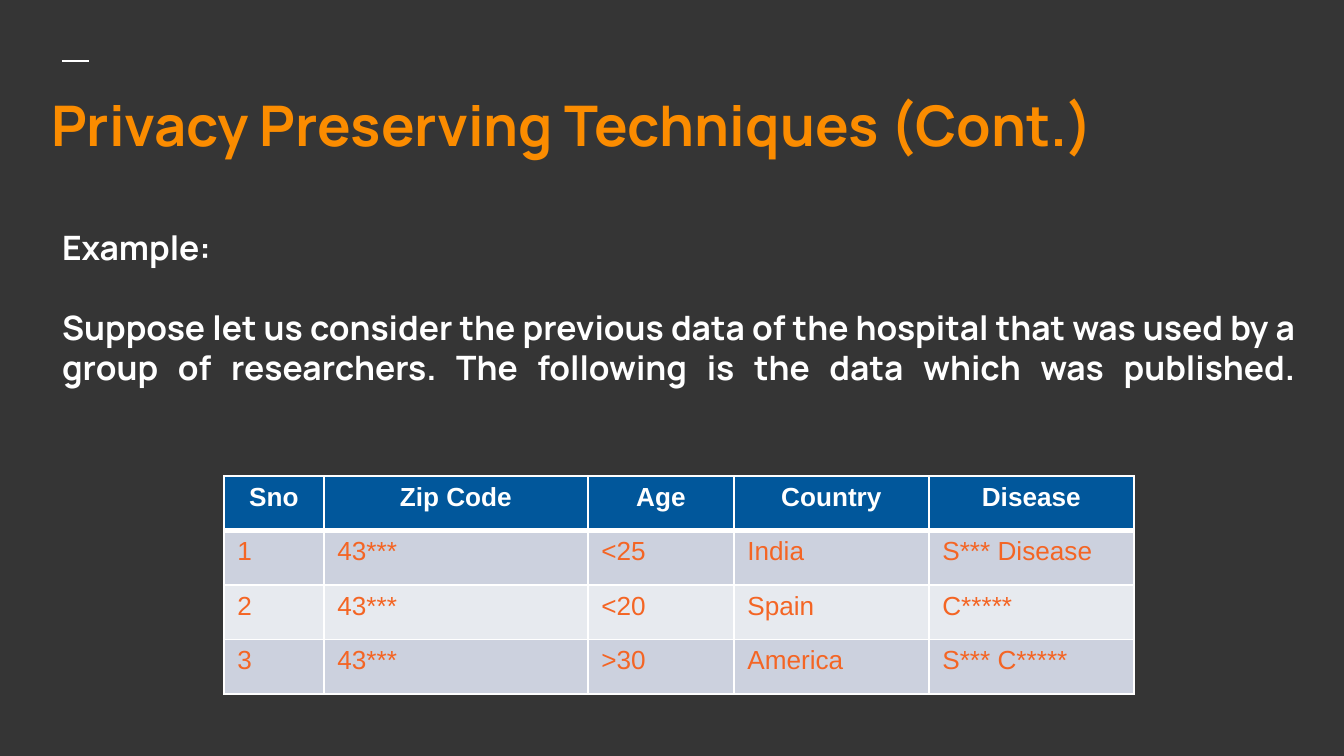
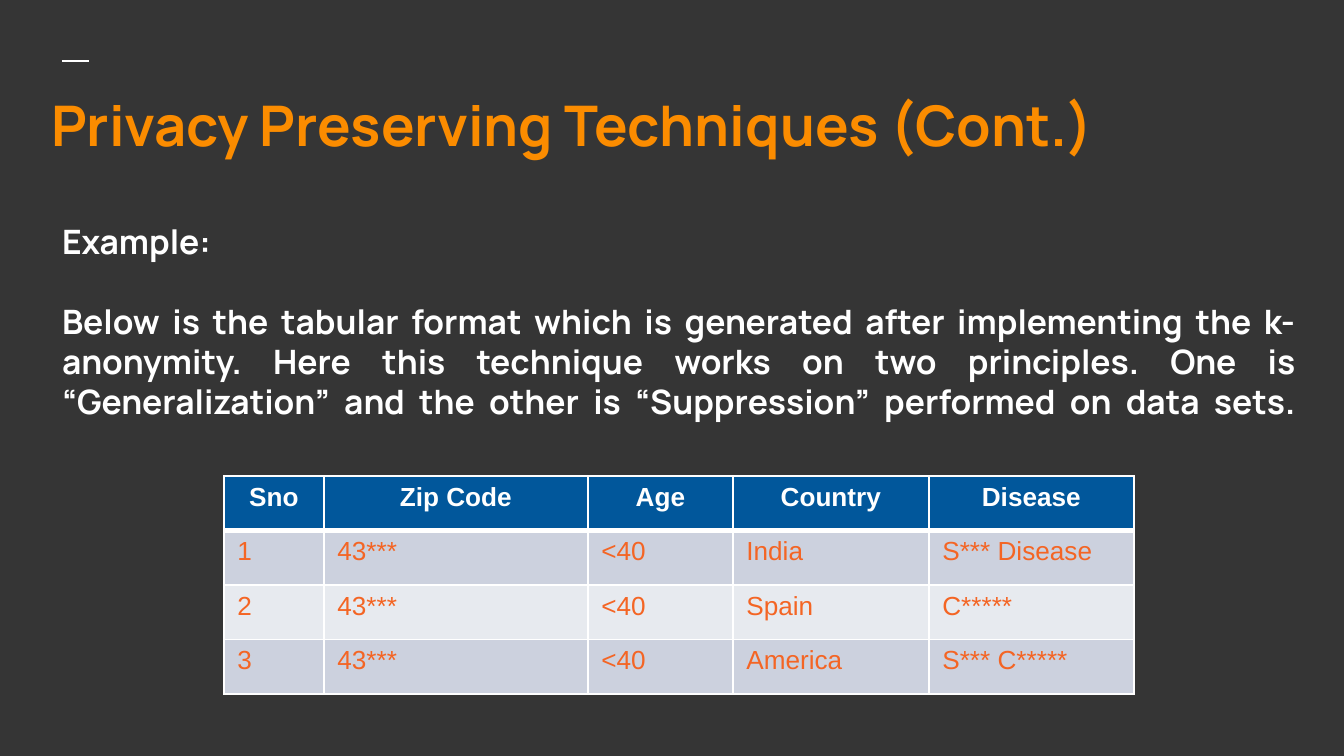
from lxml import etree
from pptx import Presentation
from pptx import util as u
from pptx.dml.color import RGBColor
from pptx.enum import shapes, text
from pptx.oxml.ns import qn

PX = 914400 / 134.4
WHITE, DARK, ORANGE = "FFFFFF", "353535", "FB8C00"
BLUE, RUST, BANDS = "01579B", "F46524", ("CCD1DE", "E7EAEF")
HEAD = ["Sno", "Zip Code", "Age", "Country", "Disease"]
TITLE = "Privacy Preserving Techniques (Cont.)"
LINE = u.Pt(21.5)

SLIDES = [
    {"lead": "Suppose let us consider the previous data of the hospital that was "
             "used by a group of researchers. The following is the data which was "
             "published.",
     "inset": 12, "ages": ["<25", "<20", ">30"],
     "cols": [100, 264, 146, 195, 205]},
    {"lead": "Below is the tabular format which is generated after implementing the "
             "k-anonymity. Here this technique works on two principles. One is "
             "“Generalization” and the other is “Suppression” performed on data sets.",
     "inset": 6, "ages": ["<40"] * 3,
     "cols": [100, 264, 145, 196, 205]},
]


def px(n):
    return u.Emu(round(n * PX))


def color(code):
    return RGBColor.from_string(code)


def put(obj, values):
    for name, value in values.items():
        setattr(obj, name, value)


def place(shape, box):
    put(shape, dict(zip(("left", "top", "width", "height"), map(px, box))))


def style(par, face, size, code, bold=True, **form):
    put(par, form)
    for run in par.runs:
        put(run.font, {"name": face, "size": u.Pt(size), "bold": bold})
        run.font.color.rgb = color(code)


def frame(shape, box, anchor, inset=13):
    place(shape, box)
    put(shape.text_frame, {
        "word_wrap": True, "auto_size": text.MSO_AUTO_SIZE.NONE,
        "vertical_anchor": anchor, "margin_left": px(13), "margin_right": px(13),
        "margin_top": px(inset), "margin_bottom": px(13)})
    return shape.text_frame


def dash(slide, x, y, width):
    line = slide.shapes.add_connector(
        shapes.MSO_CONNECTOR.STRAIGHT, px(x), px(y), px(x + width), px(y))
    line.line.color.rgb = color(WHITE)
    line.line.width = u.Pt(1.5)
    etree.SubElement(line._element.spPr, qn("a:effectLst"))


def title(slide, box):
    body = frame(slide.shapes.title, box, text.MSO_ANCHOR.MIDDLE)
    body.text = TITLE
    style(body.paragraphs[0], "Manrope", 30, ORANGE, alignment=text.PP_ALIGN.LEFT)


def example(slide, box, lead, inset):
    body = frame(slide.placeholders[1], box, text.MSO_ANCHOR.TOP, inset)
    # The closing line break makes the last line justified too.
    body.text = "Example:\n" + lead + "\v"
    for par, gap in zip(body.paragraphs, (LINE, 0)):
        style(par, "Manrope", 18, WHITE, alignment=text.PP_ALIGN.JUSTIFY,
              line_spacing=LINE, space_before=u.Pt(0), space_after=u.Emu(gap))
        props = par._p.get_or_add_pPr()
        props.set("marL", "0")
        props.set("indent", "0")
        etree.SubElement(props, qn("a:buNone"))


def edges(cell, row):
    props = cell._tc.get_or_add_tcPr()
    widths = {"L": 1, "R": 1, "T": 3 if row == 1 else 1, "B": 3 if row == 0 else 1}
    for spot, (side, width) in enumerate(widths.items()):
        line = etree.Element(qn("a:ln" + side), w=str(u.Pt(width)))
        fill = etree.SubElement(line, qn("a:solidFill"))
        etree.SubElement(fill, qn("a:srgbClr"), val=WHITE)
        props.insert(spot, line)


def grid(slide, box, cols, ages):
    rows = [HEAD] + [
        [str(num), "43***", age, land, ill] for num, age, land, ill in zip(
            (1, 2, 3), ages, ("India", "Spain", "America"),
            ("S*** Disease", "C*****", "S*** C*****"))]
    table = slide.shapes.add_table(len(rows), len(cols), *map(px, box)).table
    for col, width in zip(table.columns, cols):
        col.width = px(width)
    for r, row in enumerate(rows):
        table.rows[r].height = px(box[3] / len(rows))
        for c, word in enumerate(row):
            cell = table.cell(r, c)
            cell.text = word
            cell.fill.solid()
            cell.fill.fore_color.rgb = color(BANDS[(r - 1) % 2] if r else BLUE)
            edges(cell, r)
            align = text.PP_ALIGN.LEFT if r else text.PP_ALIGN.CENTER
            style(cell.text_frame.paragraphs[0], "Arial", 14, RUST if r else WHITE,
                  bold=r == 0, alignment=align)


def main():
    deck = Presentation()
    put(deck, {"slide_width": px(1344), "slide_height": px(756)})
    back = deck.slide_master.background.fill
    back.solid()
    back.fore_color.rgb = color(DARK)
    for data in SLIDES:
        slide = deck.slides.add_slide(deck.slide_layouts[1])
        dash(slide, 62, 61, 27)
        title(slide, (38, 77, 1268, 95))
        example(slide, (49, 215, 1260, 254), data["lead"], data["inset"])
        grid(slide, (224, 476, sum(data["cols"]), 218), data["cols"], data["ages"])
    deck.save("out.pptx")


if __name__ == "__main__":
    main()
